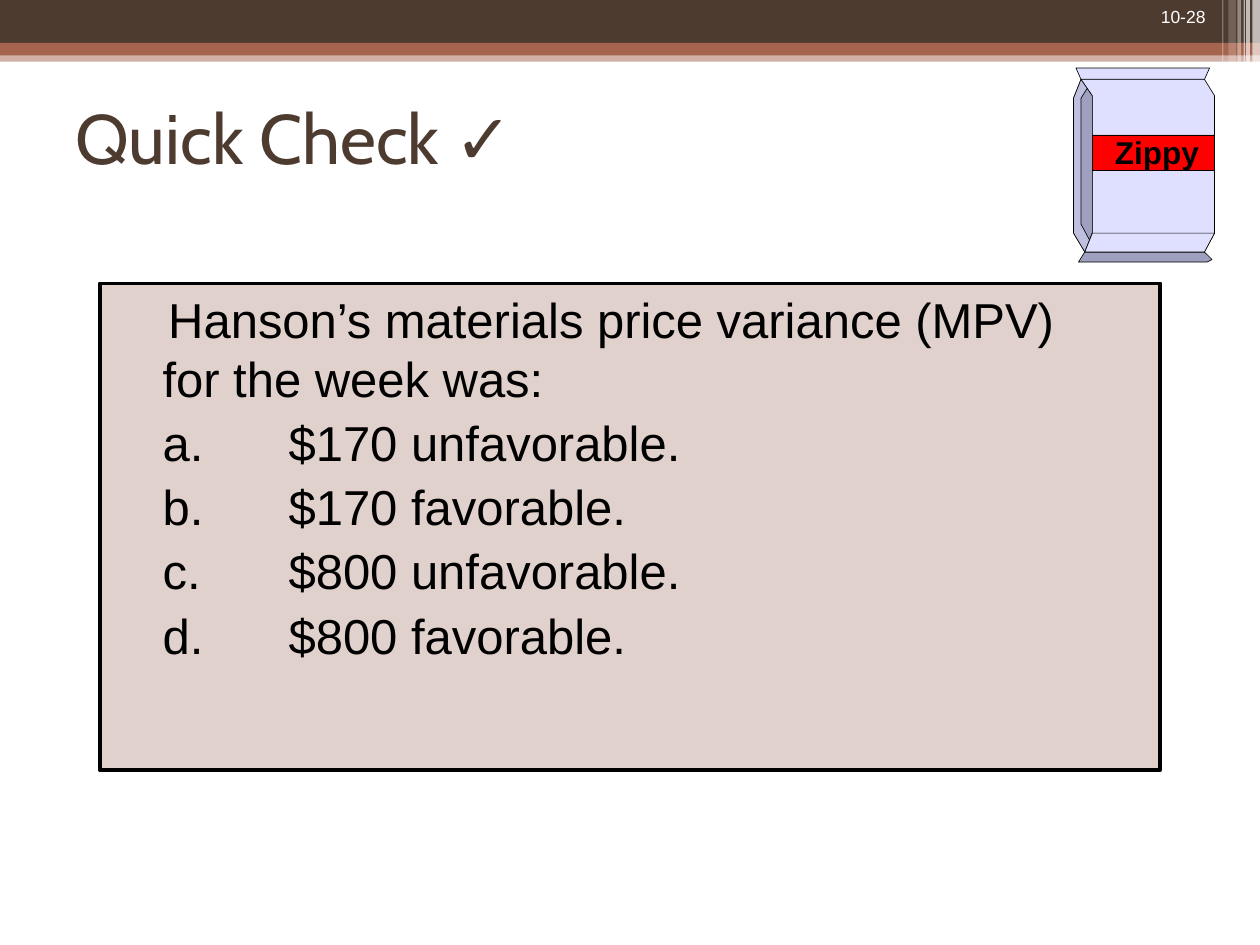
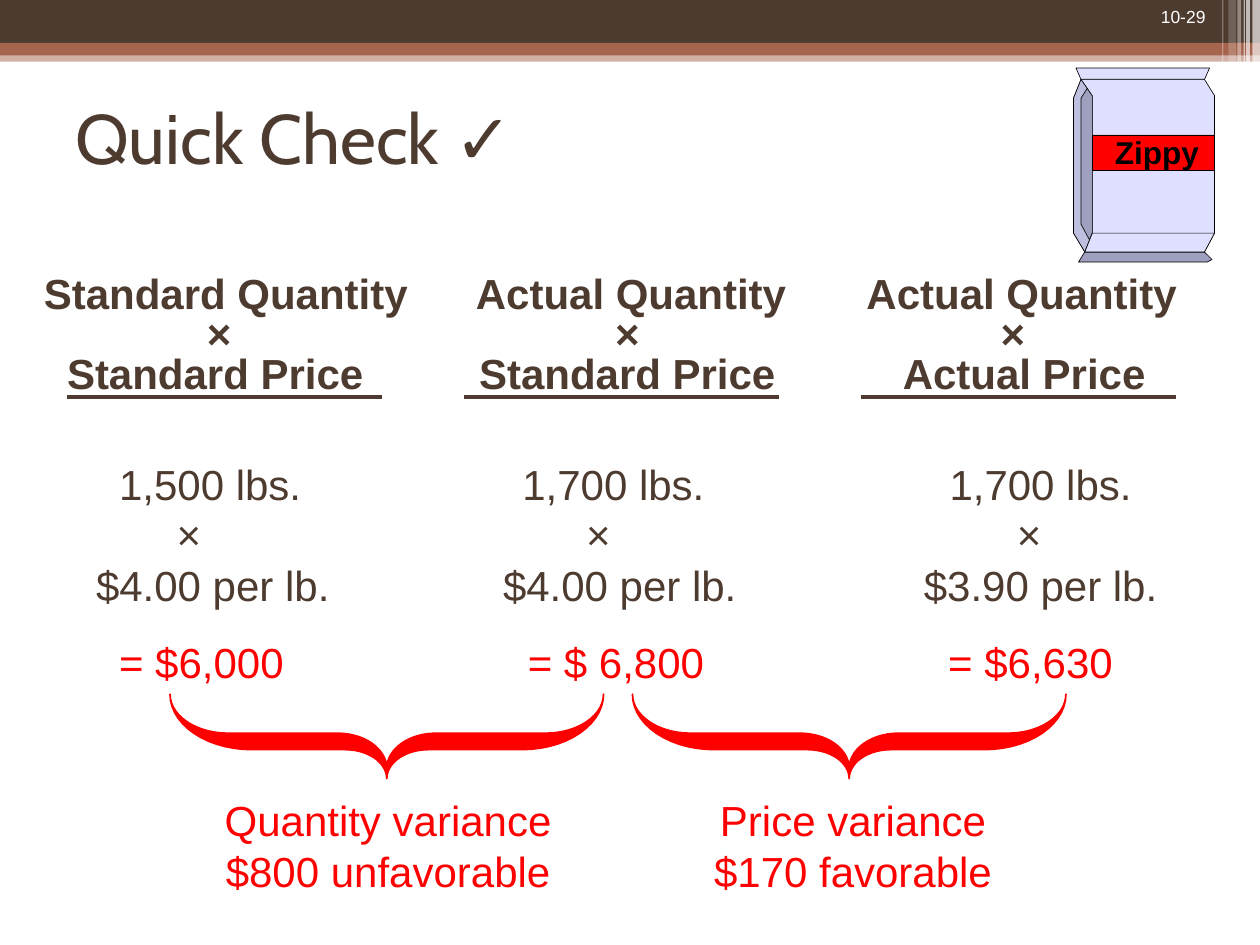
from dataclasses import dataclass
from math import cos, pi, sin

from lxml.etree import SubElement
from pptx import Presentation
from pptx.dml.color import RGBColor
from pptx.enum.shapes import MSO_CONNECTOR, MSO_SHAPE
from pptx.enum.text import MSO_ANCHOR, MSO_AUTO_SIZE, PP_ALIGN
from pptx.oxml.ns import qn
from pptx.util import Inches, Pt

COLS, ROWS = 100, 75
WIDTH, HEIGHT = Inches(10), Inches(7.5)
BROWN, RUST, BLUSH = "4E3B30", "A5644E", "E1D1CC"
WHITE, BLACK, RED = "FFFFFF", "000000", "FF0000"
PALE, MIDDLE, DARK = "DFDFFF", "BFBFDF", "9F9FBF"


@dataclass(frozen=True)
class Box:
    """A rectangle in grid columns and rows."""
    col: float
    row: float
    cols: float
    rows: float

    def emu(self) -> tuple[int, int, int, int]:
        return x(self.col), y(self.row), x(self.cols), y(self.rows)


@dataclass(frozen=True)
class Band:
    box: Box
    color: str
    opacity: int = 100
    kind: MSO_SHAPE = MSO_SHAPE.RECTANGLE


@dataclass(frozen=True)
class Facet:
    """One filled side of the bag."""
    color: str
    points: list[tuple[float, float]]


@dataclass(frozen=True)
class Line:
    """Three cells, each centred on its own column."""
    cells: tuple[str, str, str]
    centres: tuple[float, float, float]
    color: str = BROWN
    before: float = 0


@dataclass(frozen=True)
class Variance:
    text: str
    label_col: float
    brace_col: float


BANDS = [
    Band(Box(0, 4, 100, 0.9), RUST, 50),
    Band(Box(0, 0, 100, 3.4), BROWN),
    Band(Box(0, 3.4, 100, 1), RUST),
    Band(Box(59.1, 5.4, 33.5, 0.3), WHITE, kind=MSO_SHAPE.ROUNDED_RECTANGLE),
    Band(Box(80.6, 6.4, 17.5, 0.4), WHITE, kind=MSO_SHAPE.ROUNDED_RECTANGLE),
] + [
    Band(Box(col, 0, cols, rows), WHITE, opacity)
    for col, cols, rows, opacity in [
        (99.4, 0.6, 6.8, 65), (98.9, 0.3, 6.8, 65), (98.7, 0.1, 6.8, 60),
        (98.2, 0.3, 6.8, 40), (97.5, 0.6, 6.4, 20), (97, 0.1, 6.4, 30)]
]

BAG_BACK = [
    Facet(DARK, [(85.8, 6.3), (85.2, 7.8), (85.2, 18.5), (86.1, 20),
                 (86.7, 18.5), (86.7, 7.6)]),
    Facet(MIDDLE, [(85.8, 6.3), (86.3, 7), (85.8, 7.8), (85.8, 17.8), (86.5, 19.1),
                   (86.1, 20), (85.2, 18.5), (85.2, 7.8)]),
    Facet(PALE, [(85.8, 6.3), (85.4, 5.4), (96, 5.4), (95.6, 6.3)]),
    Facet(DARK, [(86.1, 20), (95.6, 20), (96.2, 20.6), (95.8, 20.8), (85.6, 20.8)]),
    Facet(PALE, [(86.1, 20), (95.6, 20), (96.4, 18.5), (96.4, 7.6), (95.6, 6.3),
                 (85.8, 6.3), (86.7, 7.6), (86.7, 18.5)]),
]
BAG_FOOT = Facet(PALE, [(86.7, 18.5), (86.1, 20), (95.6, 20), (96.4, 18.5)])

HEADINGS = [
    Line(("Standard Quantity", "Actual Quantity", "Actual Quantity"), (17.9, 50.1, 81.1)),
    Line(("×", "×", "×"), (17.4, 49.8, 80.4)),
    Line(("Standard Price", "Standard Price", "Actual Price"), (17.1, 49.8, 81.3)),
]
AMOUNTS = [
    Line(("1,500 lbs.", "1,700 lbs.", "1,700 lbs."), (16.7, 48.7, 82.6)),
    Line(("×", "×", "×"), (15, 47.5, 81.7)),
    Line(("$4.00 per lb.", "$4.00 per lb.", "$3.90 per lb."), (16.9, 49.2, 82.6)),
    Line(("= $6,000", "= $ 6,800", "= $6,630"), (16, 48.9, 81.8), RED, 15),
]
VARIANCES = [
    Variance("Quantity variance\v$800 unfavorable", 9.55, 30.7),
    Variance("Price variance\v$170 favorable", 46.45, 67.4),
]
QUESTION = "Hanson’s materials price variance (MPV)\vfor the week was:"
ANSWERS = ["$170 unfavorable.", "$170 favorable.", "$800 unfavorable.", "$800 favorable."]


def x(cols: float) -> int:
    return round(cols * WIDTH / COLS)


def y(rows: float) -> int:
    return round(rows * HEIGHT / ROWS)


def rgb(color: str) -> RGBColor:
    return RGBColor.from_string(color)


def paint(sp, color: str, line: str | None = None, width: float = 1, opacity: int = 100):
    sp.fill.solid()
    sp.fill.fore_color.rgb = rgb(color)
    if opacity < 100:
        tint = sp.element.spPr.find(qn("a:solidFill"))[0]
        SubElement(tint, qn("a:alpha"), val=str(opacity * 1000))
    if line:
        sp.line.color.rgb = rgb(line)
        sp.line.width = Pt(width)
    else:
        sp.line.fill.background()


def add_preset(shapes, box: Box, color: str, kind=MSO_SHAPE.RECTANGLE, **look):
    sp = shapes.add_shape(kind, *box.emu())
    sp.shadow.inherit = False
    paint(sp, color, **look)
    return sp


def add_outline(shapes, points: list[tuple[float, float]], color: str, line: str, width: float):
    first, *rest = [(x(col), y(row)) for col, row in points]
    builder = shapes.build_freeform(*first)
    builder.add_line_segments(rest, close=True)
    sp = builder.convert_to_shape()
    sp.shadow.inherit = False
    paint(sp, color, line, width)


def write(tf, text: str, *, size: float, color: str, font: str = "Arial", bold: bool = False,
          align=PP_ALIGN.LEFT, before: float = 0, spacing: float = 1,
          margin: float = 0, indent: float = 0, centre_tabs: tuple[float, ...] = ()):
    """Add one paragraph, using the empty first one if there is one."""
    p = tf.paragraphs[0]
    if p.runs:
        p = tf.add_paragraph()
    pPr = p._p.get_or_add_pPr()
    if margin:
        pPr.set("marL", str(x(margin)))
        pPr.set("indent", str(x(indent)))
    p.alignment, p.space_before, p.line_spacing = align, Pt(before), spacing
    SubElement(pPr, qn("a:buNone"))
    if centre_tabs:
        tabs = SubElement(pPr, qn("a:tabLst"))
        for col in centre_tabs:
            SubElement(tabs, qn("a:tab"), pos=str(x(col)), algn="ctr")
    p.text = text
    for r in p.runs:
        style(r, size, color, font, bold)
    return p


def style(r, size: float, color: str, font: str, bold: bool = False):
    r.font.size, r.font.name, r.font.bold = Pt(size), font, bold
    r.font.color.rgb = rgb(color)


def add_textbox(shapes, box: Box):
    tf = shapes.add_textbox(*box.emu()).text_frame
    tf.word_wrap = True
    return tf


def add_text(shapes, box: Box, text: str, **fmt):
    write(add_textbox(shapes, box), text, **fmt)


def add_lines(s, box: Box, lines: list[Line], **fmt):
    tf = add_textbox(s.shapes, box)
    text_left = box.col + 1
    for line in lines:
        write(tf, "\t" + "\t".join(line.cells), size=24, color=line.color, before=line.before,
              centre_tabs=tuple(c - text_left for c in line.centres), **fmt)


def place(sp, box: Box):
    sp.left, sp.top, sp.width, sp.height = box.emu()
    sp.text_frame.auto_size = MSO_AUTO_SIZE.NONE


def add_bands_to_master(prs, s):
    for number, band in enumerate(BANDS, 100):
        sp = add_preset(s.shapes, band.box, band.color, band.kind, opacity=band.opacity)
        sp.element.nvSpPr.cNvPr.set("id", str(number))
        prs.slide_master.shapes.element.append(sp.element)


def add_bag(s):
    bag = s.shapes.add_group_shape().shapes
    for facet in BAG_BACK:
        add_outline(bag, facet.points, facet.color, BLACK, 0.37)
    add_preset(bag, Box(86.7, 10.7, 9.7, 2.8), RED, line=BLACK, width=0.37)
    add_outline(bag, BAG_FOOT.points, BAG_FOOT.color, BLACK, 0.37)
    add_text(bag, Box(87.5, 10.1, 10.8, 4), "Zippy", size=18, color=BLACK, bold=True)


def start_slide(prs, layout: int, number: str):
    s = prs.slides.add_slide(prs.slide_layouts[layout])
    title = s.shapes.title
    place(title, Box(5, 5, 90, 11.7))
    title.text_frame.vertical_anchor = MSO_ANCHOR.MIDDLE
    p = write(title.text_frame, "Quick Check ", size=40, color=BROWN, font="Cabin")
    r = p.add_run()
    r.text = "✓"
    style(r, 40, BROWN, "Arial")
    add_text(s.shapes, Box(85.85, 0, 10.8, 2.7), number, size=10, color=WHITE,
             align=PP_ALIGN.RIGHT)
    add_bag(s)
    return s


def arc(col: float, row: float, cols: float, rows: float, start: float, end: float,
        steps: int = 14) -> list[tuple[float, float]]:
    """Points of an elliptical arc; angles run clockwise from the right."""
    angles = [start + (end - start) * i / steps for i in range(steps + 1)]
    return [(col + cols * cos(a), row + rows * sin(a)) for a in angles]


def add_brace(shapes, centre: float, top: float):
    half = (arc(3.3, 6.7, 3.3, 2.3, pi, 1.5 * pi) + arc(10.7, 0, 6.5, 4.4, pi / 2, 0)
            + arc(12.6, 0, 4.6, 3.1, 0, pi / 2) + arc(3.9, 5.9, 3.9, 2.8, 1.5 * pi, pi))
    mirrored = [(-col, row) for col, row in reversed(half)]
    points = [(centre + col, top + row) for col, row in half + mirrored]
    add_outline(shapes, points, RED, RED, 1)


def add_rule(s, col: float, row: float, cols: float):
    rule = s.shapes.add_connector(MSO_CONNECTOR.STRAIGHT, x(col), y(row), x(col + cols), y(row))
    rule.line.color.rgb = rgb(BROWN)
    rule.line.width = Pt(2.25)
    SubElement(rule.element.spPr, qn("a:effectLst"))


def build_question(prs):
    s = start_slide(prs, 1, "10-28")
    add_bands_to_master(prs, s)
    body = s.placeholders[1]
    place(body, Box(7.9, 22.5, 84.2, 38.6))
    paint(body, BLUSH, BLACK, 2.25)
    write(body.text_frame, QUESTION, size=28, color=BLACK, margin=4, indent=0.45)
    for letter, answer in zip("abcd", ANSWERS):
        write(body.text_frame, f"{letter}.\t{answer}", size=28, color=BLACK, before=3,
              margin=14, indent=-10)


def build_solution(prs):
    s = start_slide(prs, 5, "10-29")
    add_lines(s, Box(2.5, 21.5, 95.8, 10.6), HEADINGS, bold=True, spacing=0.8)
    for i in range(3):
        add_rule(s, 5.3 + 31.5 * i, 31.5, 25)
    add_lines(s, Box(2.9, 35.9, 94.1, 19.1), AMOUNTS)
    for variance in VARIANCES:
        group = s.shapes.add_group_shape().shapes
        add_brace(group, variance.brace_col, 55.1)
        add_text(group, Box(variance.label_col, 62.6, 42.5, 9), variance.text,
                 size=24, color=RED, align=PP_ALIGN.CENTER)


def main():
    prs = Presentation()
    prs.slide_width, prs.slide_height = WIDTH, HEIGHT
    build_question(prs)
    build_solution(prs)
    prs.save("out.pptx")


if __name__ == "__main__":
    main()
